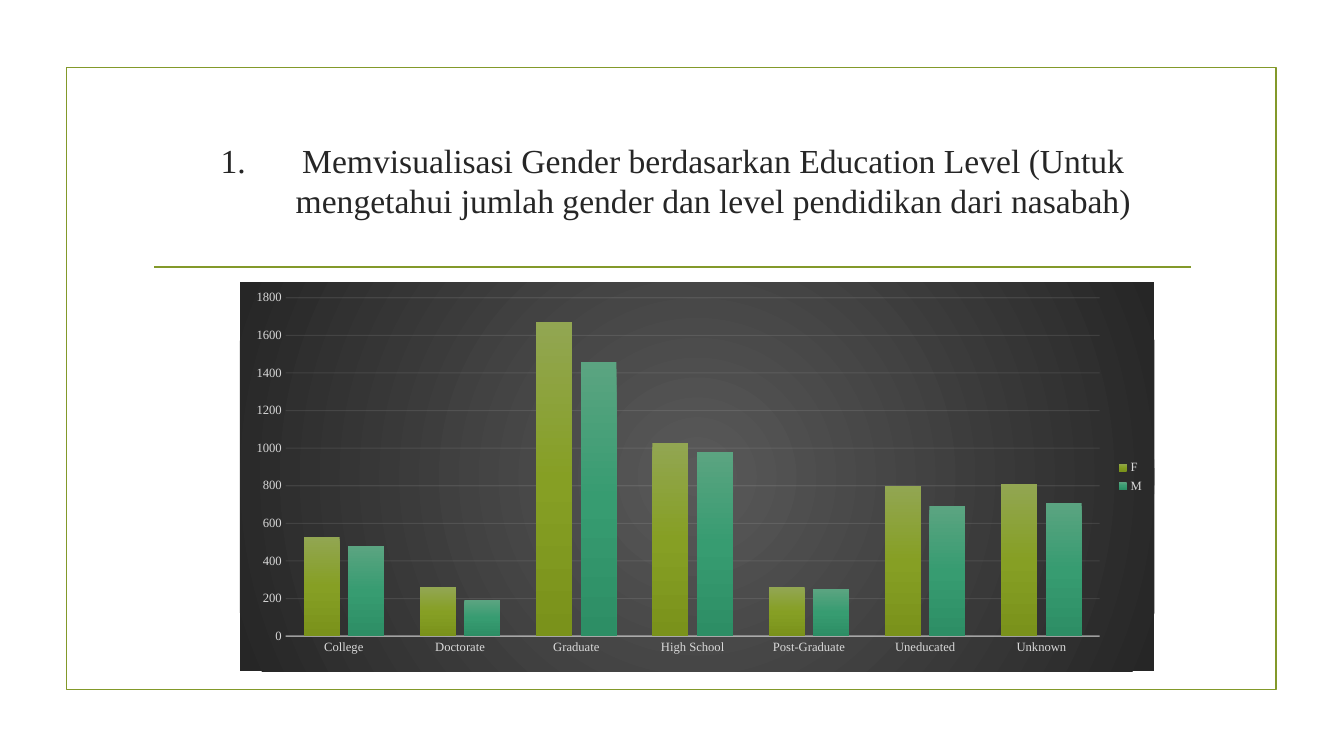
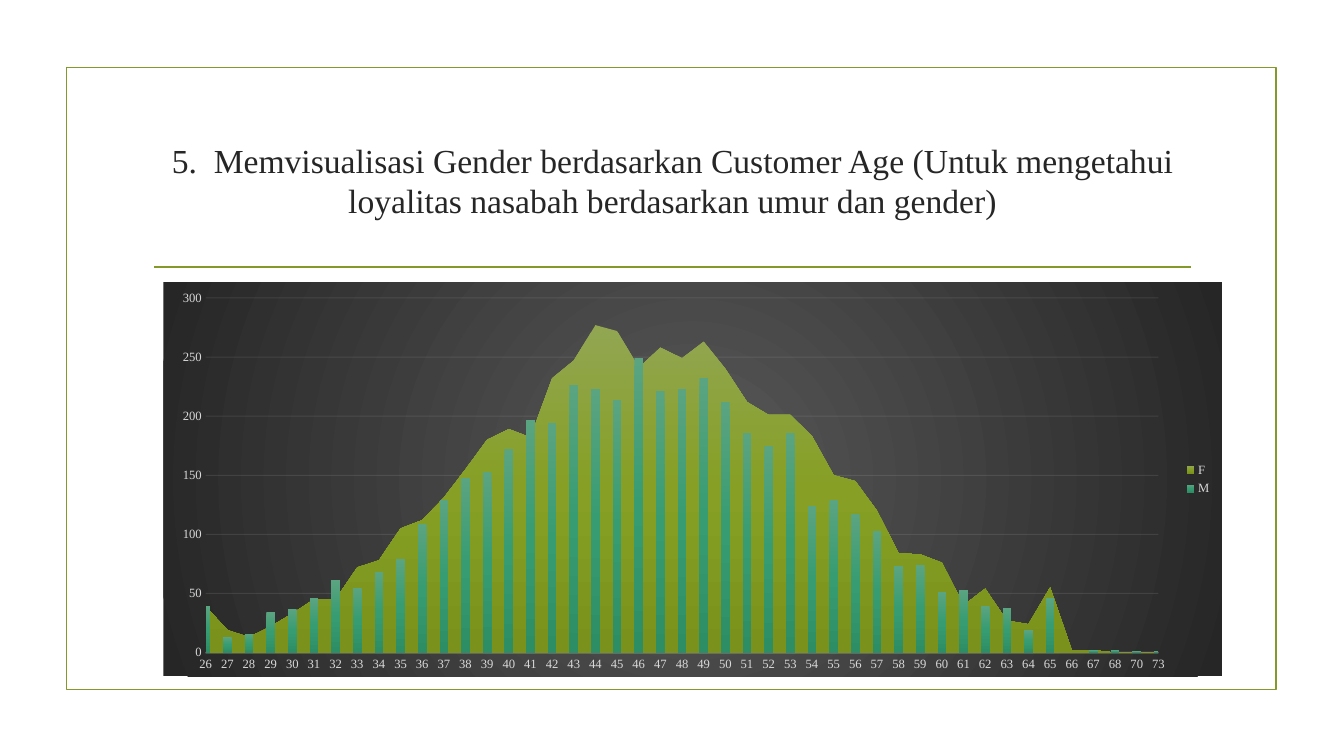
from pptx import Presentation
from pptx.chart.data import CategoryChartData
from pptx.dml.color import RGBColor
from pptx.enum.chart import XL_CHART_TYPE, XL_LEGEND_POSITION, XL_TICK_MARK
from pptx.enum.shapes import MSO_CONNECTOR, MSO_SHAPE
from pptx.enum.text import MSO_ANCHOR, PP_ALIGN
from pptx.oxml import parse_xml
from pptx.oxml.ns import nsdecls, qn
from pptx.util import Inches, Pt

BARS = XL_CHART_TYPE.COLUMN_CLUSTERED
RIGHT = XL_LEGEND_POSITION.RIGHT
NO_TICK = XL_TICK_MARK.NONE
RECT = MSO_SHAPE.RECTANGLE
STRAIGHT = MSO_CONNECTOR.STRAIGHT
MIDDLE = MSO_ANCHOR.MIDDLE
CENTER = PP_ALIGN.CENTER

FONT = "Times New Roman"
COLORS = {"green": "83992A", "title": "262626", "label": "D9D9D9",
          "grid": "F2F2F2", "base": "000000"}
PANEL = [(0, "595959"), (100, "262626")]
SHADES = {
    "F": [(0, "92A652"), (50, "869F24"), (100, "7A921B")],
    "M": [(0, "5BA481"), (50, "379C71"), (100, "2D8E65")],
}
DOWN = '<a:lin ang="5400000" scaled="0"/>'
RADIAL = ('<a:path path="circle"><a:fillToRect l="50000" t="50000" '
          'r="50000" b="50000"/></a:path>')

LEVELS = ["College", "Doctorate", "Graduate", "High School",
          "Post-Graduate", "Uneducated", "Unknown"]
LEVEL_DATA = {"F": [530, 260, 1670, 1030, 260, 800, 810],
              "M": [480, 190, 1460, 980, 250, 690, 710]}
AGES = [str(age) for age in [*range(26, 69), 70, 73]]
AGE_DATA = {
    "F": [39, 19, 13, 22, 33, 45, 45, 72, 78, 105, 112, 131, 155, 180, 189,
          182, 232, 247, 277, 272, 241, 258, 249, 263, 240, 212, 201, 201,
          183, 150, 145, 120, 84, 83, 76, 40, 54, 27, 24, 55, 2, 2,
          None, None, None],
    "M": [39, 13, 16, 34, 37, 46, 61, 55, 68, 79, 109, 129, 148, 153, 172,
          197, 194, 226, 223, 214, 249, 221, 223, 232, 212, 186, 175, 186,
          124, 129, 117, 103, 73, 74, 51, 53, 39, 38, 19, 46, None, 2, 2,
          1, 1],
}


def rgb(name):
    return RGBColor.from_string(COLORS[name])


def style(font, size, color):
    font.name, font.size = FONT, Pt(size)
    font.color.rgb = rgb(color)


def blend(stops, course):
    """Return gradient fill XML; course is its linear or radial part."""
    marks = "".join(f'<a:gs pos="{pos * 1000}"><a:srgbClr val="{color}"/></a:gs>'
                    for pos, color in stops)
    return parse_xml(f'<a:gradFill {nsdecls("a")} rotWithShape="1">'
                     f'<a:gsLst>{marks}</a:gsLst>{course}</a:gradFill>')


def add_frame(slide):
    frame = slide.shapes.add_shape(RECT, *map(Inches, (0.66, 0.67, 12, 6.17)))
    frame.shadow.inherit = False
    frame.fill.background()
    rule = slide.shapes.add_connector(
        STRAIGHT, *map(Inches, (1.53, 2.65, 11.81, 2.65)))
    rule.element.spPr.append(parse_xml(f'<a:effectLst {nsdecls("a")}/>'))
    for item in (frame, rule):
        item.line.color.rgb = rgb("green")
        item.line.width = Pt(1.25)


def add_title(slide, text, numbered):
    box = slide.shapes.add_textbox(*map(Inches, (1.42, 1.07, 10.5, 1.43)))
    frame = box.text_frame
    frame.word_wrap = True
    frame.vertical_anchor = MIDDLE
    frame.text = text
    para = frame.paragraphs[0]
    para.alignment = CENTER
    style(para.runs[0].font, 24, "title")
    if numbered:
        props = para._p.get_or_add_pPr()
        props.set("marL", str(Inches(0.81)))
        props.set("indent", str(-Inches(0.81)))
        props.append(parse_xml(f'<a:buFont {nsdecls("a")} typeface="+mj-lt"/>'))
        props.append(parse_xml(
            f'<a:buAutoNum {nsdecls("a")} type="arabicPeriod"/>'))


def fade(line, width, root, query, alpha):
    """Style an axis or grid line and make it partly transparent."""
    line.color.rgb = rgb("grid")
    line.width = Pt(width)
    root.xpath(query + "//a:srgbClr")[0].append(
        parse_xml(f'<a:alpha {nsdecls("a")} val="{alpha * 1000}"/>'))


def style_axes(chart, top, step):
    root = chart.element
    cat, val = chart.category_axis, chart.value_axis
    for axis in (cat, val):
        axis.major_tick_mark = axis.minor_tick_mark = NO_TICK
        style(axis.tick_labels.font, 9, "label")
    fade(cat.format.line, 1, root, "//c:catAx/c:spPr", 54)
    val.minimum_scale, val.maximum_scale, val.major_unit = 0, top, step
    val.format.line.fill.background()
    val.has_major_gridlines = True
    fade(val.major_gridlines.format.line, 0.75, root,
         "//c:valAx/c:majorGridlines", 10)


def set_plot(root, plot):
    """Fix the inner plot area as fractions of the chart."""
    area = root.xpath("//c:plotArea")[0]
    for old in area.findall(qn("c:layout")):
        area.remove(old)
    sides = "".join(f'<c:{key} val="{val}"/>' for key, val in zip("xywh", plot))
    area.insert(0, parse_xml(
        f'<c:layout {nsdecls("c")}><c:manualLayout>'
        '<c:layoutTarget val="inner"/><c:xMode val="edge"/>'
        f'<c:yMode val="edge"/>{sides}</c:manualLayout></c:layout>'))


def make_area(root):
    """Move the first column series into an area plot behind the columns."""
    bars = root.xpath("//c:barChart")[0]
    first = bars.findall(qn("c:ser"))[0]
    for flag in first.findall(qn("c:invertIfNegative")):
        first.remove(flag)
    area = parse_xml(f'<c:areaChart {nsdecls("c")}><c:grouping val="stacked"/>'
                     '<c:varyColors val="0"/></c:areaChart>')
    area.append(first)
    for axis in bars.findall(qn("c:axId")):
        area.append(parse_xml(
            f'<c:axId {nsdecls("c")} val="{axis.get("val")}"/>'))
    bars.addprevious(area)


def add_graph(slide, box, cats, data, top, step, plot, gap, mixed=False):
    source = CategoryChartData()
    source.categories = cats
    for name, vals in data.items():
        source.add_series(name, vals)
    chart = slide.shapes.add_chart(BARS, *map(Inches, box), source).chart
    root = chart.element
    style(chart.font, 10, "base")
    chart.has_title = False
    chart.has_legend = True
    chart.legend.position = RIGHT
    chart.legend.include_in_layout = False
    style(chart.legend.font, 9, "label")
    style_axes(chart, top, step)
    bars = chart.plots[0]
    bars.vary_by_categories = False
    bars.gap_width, bars.overlap = gap, -24
    for series in bars.series:
        series.format.fill.solid()
        series.format.fill.fore_color.rgb = rgb("green")
    for solid, stops in zip(root.xpath("//c:ser/c:spPr/a:solidFill"),
                            SHADES.values()):
        solid.getparent().replace(solid, blend(stops, DOWN))
    panel = parse_xml(f'<c:spPr {nsdecls("c", "a")}>'
                      '<a:ln><a:noFill/></a:ln></c:spPr>')
    panel.insert(0, blend(PANEL, RADIAL))
    root.find(qn("c:chart")).addnext(panel)
    set_plot(root, plot)
    if mixed:
        make_area(root)


def add_page(deck, title, numbered, **graph):
    slide = deck.slides.add_slide(deck.slide_layouts[6])
    add_frame(slide)
    add_title(slide, title, numbered)
    add_graph(slide, **graph)


def main():
    deck = Presentation()
    deck.slide_width, deck.slide_height = Inches(13.33), Inches(7.5)
    add_page(deck, "Memvisualisasi Gender berdasarkan Education Level (Untuk "
             "mengetahui jumlah gender dan level pendidikan dari nasabah)",
             True, box=(2.38, 2.8, 9.07, 3.86), cats=LEVELS, data=LEVEL_DATA,
             top=1800, step=200, plot=(0.05, 0.04, 0.89, 0.87), gap=100)
    add_page(deck, "5.\u00a0 Memvisualisasi Gender berdasarkan Customer Age (Untuk "
             "mengetahui loyalitas nasabah berdasarkan umur dan gender)".replace("\u00a0", " "),
             False, box=(1.62, 2.8, 10.5, 3.91), cats=AGES, data=AGE_DATA,
             top=300, step=50, plot=(0.04, 0.04, 0.9, 0.9), gap=150, mixed=True)
    deck.save("out.pptx")


if __name__ == "__main__":
    main()
